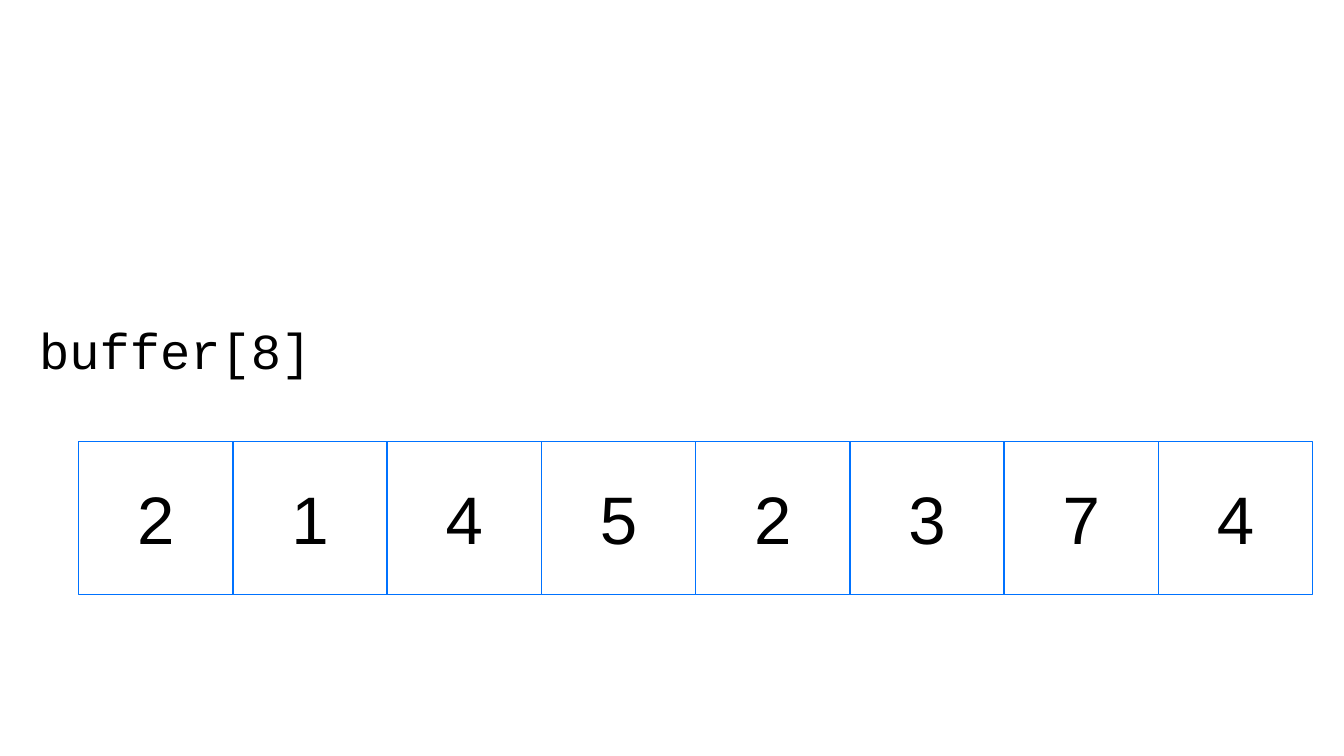
from pptx import Presentation
from pptx import util as u
from pptx.dml.color import RGBColor
from pptx.enum import shapes, text

PX = 9144
BLACK = RGBColor(0x00, 0x00, 0x00)
WHITE = RGBColor(0xFF, 0xFF, 0xFF)
BLUE = RGBColor(0x00, 0x72, 0xFF)


class Deck:
    """Draws labels and array cells on one slide in a shared style."""

    def __init__(self, wide, high):
        self.show = Presentation()
        self.show.slide_width = wide * PX
        self.show.slide_height = high * PX
        self.slide = self.show.slides.add_slide(self.show.slide_layouts[6])

    def add_run(self, para, words, face, size):
        run = para.add_run()
        run.text = words
        run.font.name = face
        run.font.size = u.Pt(size)
        run.font.color.rgb = BLACK

    def label(self, words, *box):
        frame = self.slide.shapes.add_textbox(*(n * PX for n in box)).text_frame
        frame.word_wrap = False
        frame.auto_size = text.MSO_AUTO_SIZE.SHAPE_TO_FIT_TEXT
        self.add_run(frame.paragraphs[0], words, "Courier New", 36)

    def cell(self, words, *box):
        cell = self.slide.shapes.add_shape(
            shapes.MSO_SHAPE.RECTANGLE, *(n * PX for n in box))
        cell.shadow.inherit = False
        cell.fill.solid()
        cell.fill.fore_color.rgb = WHITE
        cell.line.color.rgb = BLUE
        cell.line.width = u.Pt(1)
        frame = cell.text_frame
        frame.vertical_anchor = text.MSO_ANCHOR.MIDDLE
        para = frame.paragraphs[0]
        para.alignment = text.PP_ALIGN.CENTER
        self.add_run(para, words, "Arial", 48)

    def array(self, items, left, top, wide, high):
        for i, item in enumerate(items):
            self.cell(str(item), left + i * wide, top, wide, high)


def main():
    deck = Deck(1333, 750)
    deck.label("buffer[8]", 29, 312, 293, 71)
    deck.array([2, 1, 4, 5, 2, 3, 7, 4], 78, 438, 153, 152)
    deck.show.save("out.pptx")


if __name__ == "__main__":
    main()
